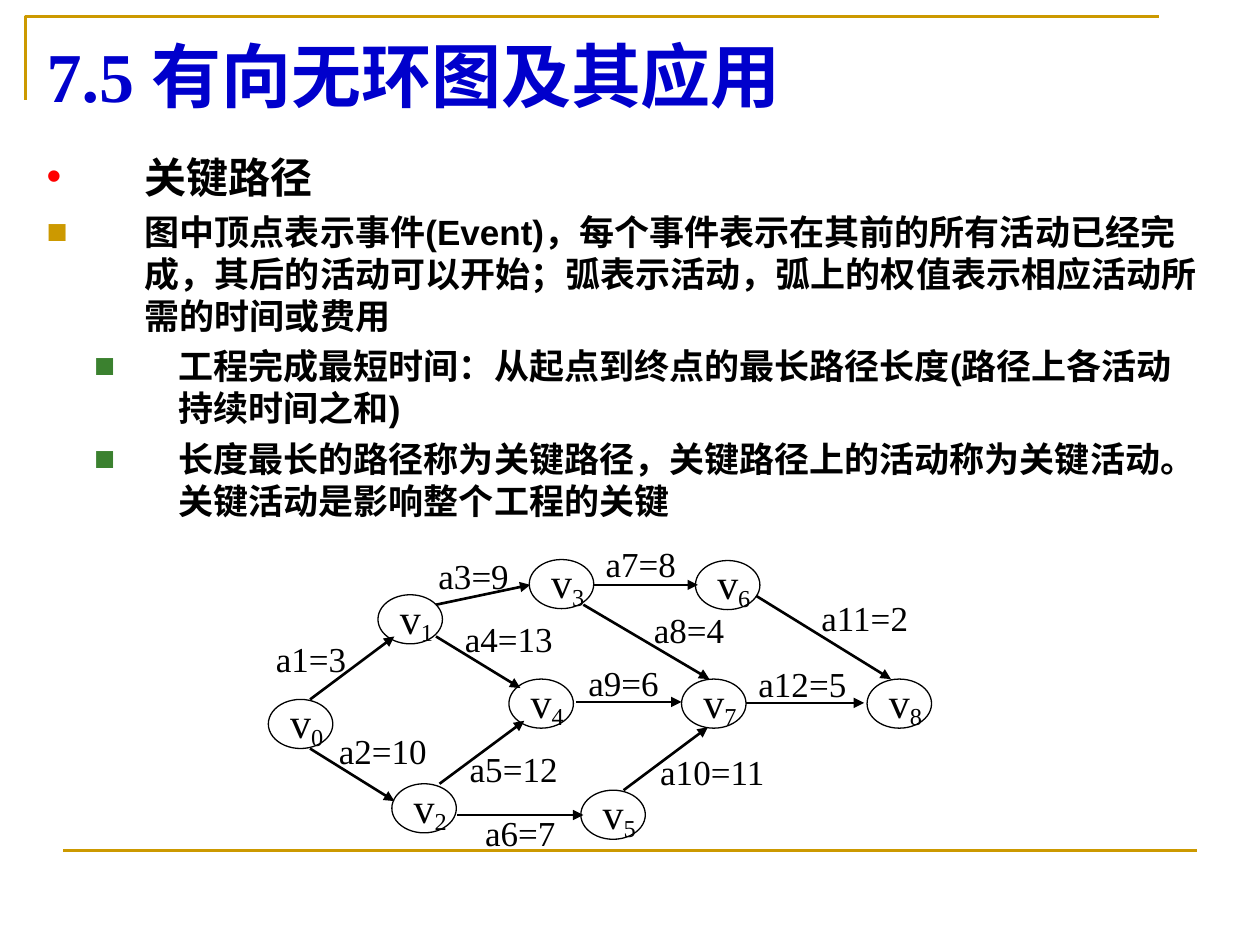
from lxml.etree import SubElement
from pptx import Presentation
from pptx.dml.color import RGBColor
from pptx.enum.shapes import MSO_CONNECTOR as Link, MSO_SHAPE as Preset
from pptx.enum.text import MSO_ANCHOR as Anchor, PP_ALIGN as Align
from pptx.oxml.ns import qn
from pptx.util import Cm, Pt

HEADING = "7.5 有向无环图及其应用"
TOPIC = {"size": 24, "bullet": "•", "color": "FF0000", "left": 1.98, "hang": 1.98}
POINT = {"size": 20, "bullet": "■", "color": "CC9900", "left": 1.98, "hang": 1.98}
DETAIL = {"size": 20, "bullet": "■", "color": "3B812F", "left": 2.66, "hang": 1.7}
OUTLINE = [
    (TOPIC, "关键路径"),
    (POINT, "图中顶点表示事件(Event)，每个事件表示在其前的所有活动已经完成，"
            "其后的活动可以开始；弧表示活动，弧上的权值表示相应活动所需的时间或费用"),
    (DETAIL, "工程完成最短时间：从起点到终点的最长路径长度(路径上各活动持续时间之和)"),
    (DETAIL, "长度最长的路径称为关键路径，关键路径上的活动称为关键活动。"
             "关键活动是影响整个工程的关键"),
]
EVENTS = [
    (5.41, 14.1), (7.62, 11.99), (7.9, 15.8),
    (10.67, 11.28), (10.26, 13.69), (11.71, 15.93),
    (14.02, 11.3), (13.74, 13.69), (17.48, 13.69),
]
ACTIVITIES = [
    (3, (5.31, 12.83), (6.25, 14.1), (7.95, 12.83)),
    (10, (6.58, 14.68), (6.25, 15.09), (7.95, 16.15)),
    (9, (8.59, 11.15), (8.79, 12.19), (10.69, 11.79)),
    (13, (9.12, 12.42), (8.79, 12.83), (10.49, 13.87)),
    (12, (9.22, 15.04), (8.86, 15.8), (10.57, 14.53)),
    (7, (9.53, 16.33), (9.22, 16.43), (11.76, 16.43)),
    (8, (11.96, 10.92), (11.96, 11.79), (14.07, 11.79)),
    (4, (12.93, 12.24), (11.76, 12.19), (14.3, 13.69)),
    (6, (11.61, 13.31), (11.61, 14.15), (13.74, 14.15)),
    (11, (13.06, 15.11), (12.57, 15.93), (14.27, 14.66)),
    (2, (16.31, 12.01), (15.24, 12.01), (17.96, 13.69)),
    (5, (15.04, 13.34), (15.04, 14.17), (17.42, 14.17)),
]
FRAME = [(0.51, 2.01), (0.51, 0.33), (23.37, 0.33)]
RULE = [(1.27, 17.15), (24.13, 17.15)]
EVENT_SIZE = (1.3, 0.99)
LABEL_SIZE = (2.8, 0.89)
GOLD, BLUE, BLACK = "CC9900", "0000CC", "000000"
SERIF, SANS, HAN = "Times New Roman", "Arial", "Noto Sans CJK SC"
LEADING = 1.2


def paint(color):
    return RGBColor.from_string(color)


def apply(target, values):
    for name, value in values.items():
        setattr(target, name, value)


def stroke(part, color, width):
    part.line.color.rgb = paint(color)
    part.line.width = Pt(width)


def write(paragraph, text, size, face, color=BLACK, bold=False):
    run = paragraph.add_run()
    run.text = text
    apply(run.font, {"size": Pt(size), "name": face, "bold": bold})
    run.font.color.rgb = paint(color)
    SubElement(run.font._element, qn("a:ea"), typeface=HAN)
    return run


def text_box(slide, place, size, anchor, wrap):
    box = slide.shapes.add_textbox(*map(Cm, place + size))
    apply(box.text_frame, {"word_wrap": wrap, "vertical_anchor": anchor})
    return box.text_frame


def connect(slide, start, end, color, arrow=False):
    link = slide.shapes.add_connector(Link.STRAIGHT, *map(Cm, start + end))
    stroke(link, color, 1.5)
    if arrow:
        SubElement(link.line._get_or_add_ln(), qn("a:tailEnd"), type="triangle")
    SubElement(link._element.spPr, qn("a:effectLst"))


def add_frame(slide):
    first, *rest = [tuple(map(Cm, point)) for point in FRAME]
    builder = slide.shapes.build_freeform(*first)
    builder.add_line_segments(rest, close=False)
    frame = builder.convert_to_shape()
    frame.shadow.inherit = False
    frame.fill.background()
    stroke(frame, GOLD, 1.5)


def add_heading(slide):
    heading = text_box(slide, (0.69, 0.39), (22.86, 2.21), Anchor.MIDDLE, True)
    paragraph = heading.paragraphs[0]
    paragraph.line_spacing = Pt(40 * LEADING)
    write(paragraph, HEADING, 40, SERIF, BLUE, True)


def add_outline(slide):
    body = text_box(slide, (0.69, 2.92), (23.8, 11.2), Anchor.TOP, True)
    for index, (level, text) in enumerate(OUTLINE):
        paragraph = body.add_paragraph() if index else body.paragraphs[0]
        apply(paragraph, {"line_spacing": Pt(level["size"] * LEADING),
                          "space_before": Pt(5 if index else 0)})
        props = paragraph._p.get_or_add_pPr()
        props.set("marL", str(Cm(level["left"])))
        props.set("indent", str(-Cm(level["hang"])))
        tint = SubElement(props, qn("a:buClr"))
        SubElement(tint, qn("a:srgbClr"), val=level["color"])
        SubElement(props, qn("a:buFont"), typeface=SANS)
        SubElement(props, qn("a:buChar"), char=level["bullet"])
        write(paragraph, text, level["size"], SANS, bold=True)


def add_event(slide, number, place):
    event = slide.shapes.add_shape(Preset.OVAL, *map(Cm, place + EVENT_SIZE))
    event.shadow.inherit = False
    event.fill.background()
    stroke(event, BLACK, 0.75)
    apply(event.text_frame, {"word_wrap": False, "vertical_anchor": Anchor.MIDDLE})
    paragraph = event.text_frame.paragraphs[0]
    paragraph.alignment = Align.LEFT
    write(paragraph, "v", 24, SERIF)
    subscript = write(paragraph, str(number), 24, SERIF)
    subscript.font._element.set("baseline", "-18000")


def add_activity(slide, number, weight, place, start, end):
    label = text_box(slide, place, LABEL_SIZE, Anchor.MIDDLE, True)
    write(label.paragraphs[0], f"a{number}={weight}", 20, SERIF)
    connect(slide, start, end, BLACK, arrow=True)


def main():
    deck = Presentation()
    apply(deck, {"slide_width": Cm(25.4), "slide_height": Cm(19.05)})
    slide = deck.slides.add_slide(deck.slide_layouts[6])
    add_frame(slide)
    connect(slide, *RULE, GOLD)
    add_heading(slide)
    add_outline(slide)
    for number, place in enumerate(EVENTS):
        add_event(slide, number, place)
    for number, activity in enumerate(ACTIVITIES, 1):
        add_activity(slide, number, *activity)
    deck.save("out.pptx")


if __name__ == "__main__":
    main()
